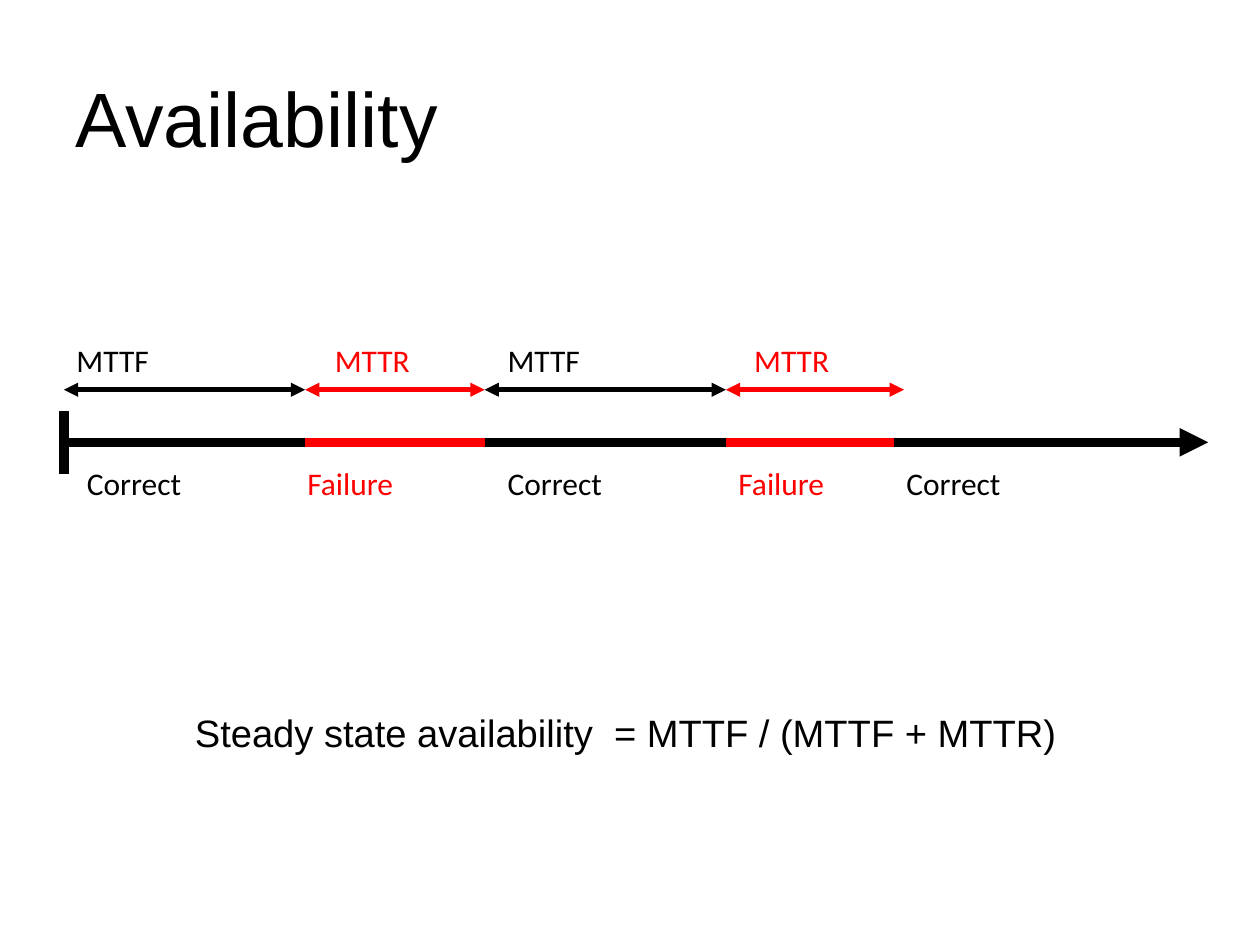
from dataclasses import dataclass

from lxml import etree
from pptx import Presentation
from pptx.dml.color import RGBColor
from pptx.enum import shapes, text
from pptx.oxml import ns
from pptx.slide import Slide
from pptx.util import Cm, Pt

BLACK = "000000"
RED = "FF0000"
AXIS = 9.83
SPAN = 8.66
START = 1.42


@dataclass
class Line:
    x1: float
    y1: float
    x2: float
    y2: float
    color: str = BLACK
    width: float = 6
    ends: tuple[str, ...] = ()


@dataclass
class Label:
    words: str
    left: float
    top: float
    color: str = BLACK
    width: float = 5.13
    height: float = 1.42
    size: float = 19.8
    face: str = "Calibri"
    align: text.PP_ALIGN = text.PP_ALIGN.LEFT
    anchor: text.MSO_ANCHOR = text.MSO_ANCHOR.TOP
    pitch: float = 1.0


def paint(code: str) -> RGBColor:
    return RGBColor.from_string(code)


def draw_line(slide: Slide, item: Line) -> None:
    line = slide.shapes.add_connector(
        shapes.MSO_CONNECTOR.STRAIGHT,
        Cm(item.x1), Cm(item.y1), Cm(item.x2), Cm(item.y2),
    )
    line.line.color.rgb = paint(item.color)
    line.line.width = Pt(item.width)
    props = line.line._get_or_add_ln()
    for end in item.ends:
        etree.SubElement(props, ns.qn(f"a:{end}"), type="triangle")
    etree.SubElement(line._element.spPr, ns.qn("a:effectLst"))


def draw_label(slide: Slide, item: Label) -> None:
    box = slide.shapes.add_textbox(
        Cm(item.left), Cm(item.top), Cm(item.width), Cm(item.height)
    )
    frame = box.text_frame
    frame.word_wrap = True
    frame.vertical_anchor = item.anchor
    frame.margin_left = frame.margin_right = Cm(0.28)
    frame.margin_top = frame.margin_bottom = Cm(0.15)
    para = frame.paragraphs[0]
    para.text = item.words
    para.alignment = item.align
    para.line_spacing = item.pitch
    para.font.size = Pt(item.size)
    para.font.name = item.face
    para.font.color.rgb = paint(item.color)


def main() -> None:
    deck = Presentation()
    deck.slide_width, deck.slide_height = Cm(28), Cm(21)
    slide = deck.slides.add_slide(deck.slide_layouts[6])

    lines = [
        Line(START, AXIS, 26.85, AXIS, ends=("tailEnd",)),
        Line(START, 9.14, START, 10.54),
        Line(6.78, AXIS, 10.77, AXIS, RED),
        Line(16.13, AXIS, 19.86, AXIS, RED),
    ]
    stops = [START, 6.78, 10.77, 16.13, 20.09]
    for k, (left, right) in enumerate(zip(stops, stops[1:])):
        color = RED if k % 2 else BLACK
        lines.append(
            Line(left, SPAN, right, SPAN, color, 3, ("headEnd", "tailEnd"))
        )

    labels = [
        Label("Availability", 1.4, 0.84, width=25.2, height=3.5, size=48.5,
              face="Arial", anchor=text.MSO_ANCHOR.MIDDLE),
        Label("Steady state availability  = MTTF / (MTTF + MTTR)",
              1.42, 15.42, width=24.97, height=3.96, size=24, face="Arial",
              align=text.PP_ALIGN.CENTER, pitch=1.2),
    ]
    rows = [
        (7.44, ("MTTF", "MTTR"), [1.42, 7.16, 11, 16.48]),
        (10.16, ("Correct", "Failure"), [1.65, 6.55, 11, 16.13, 19.86]),
    ]
    for top, names, lefts in rows:
        for k, left in enumerate(lefts):
            labels.append(Label(names[k % 2], left, top, (BLACK, RED)[k % 2]))

    for line in lines:
        draw_line(slide, line)
    for label in labels:
        draw_label(slide, label)
    deck.save("out.pptx")


if __name__ == "__main__":
    main()
